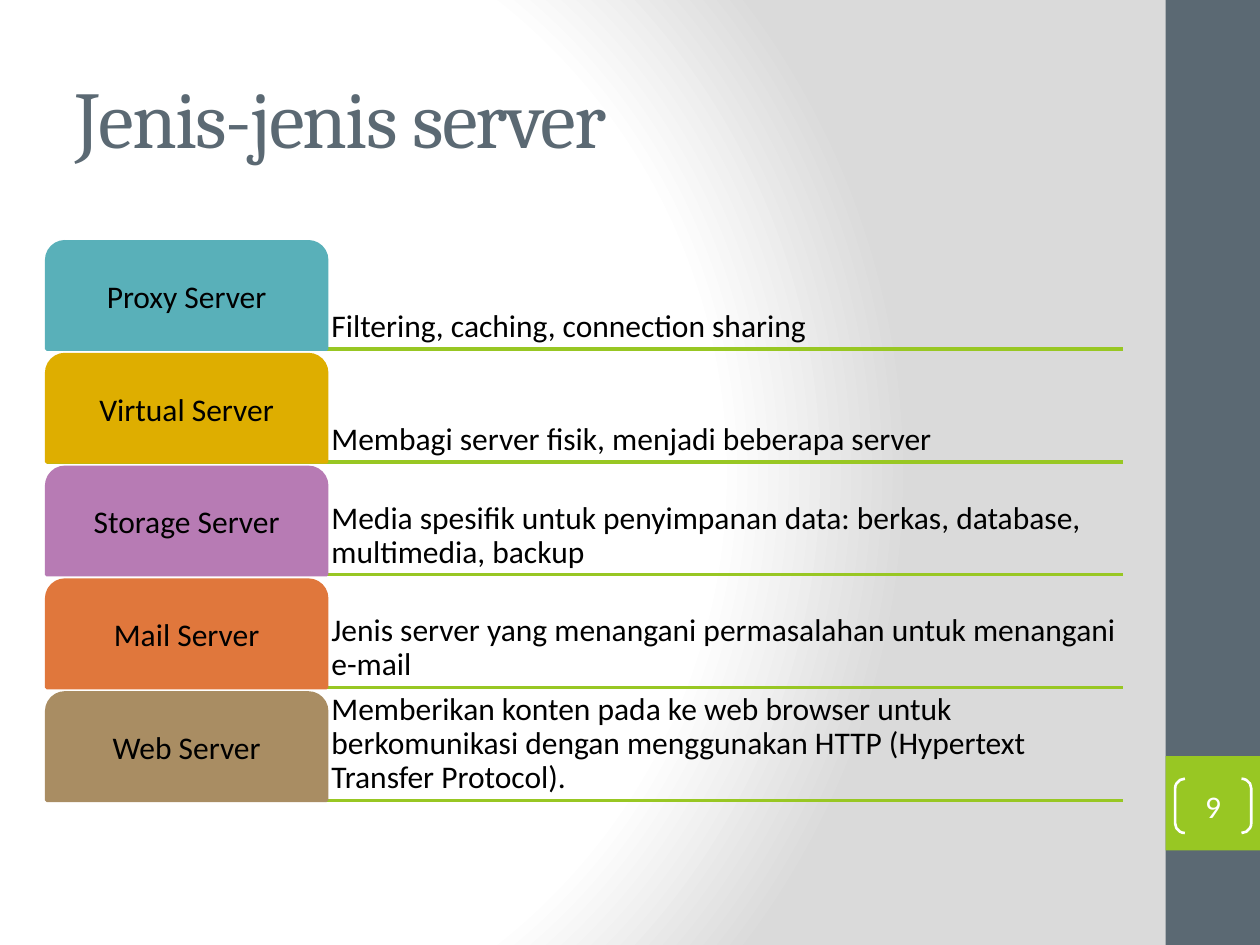
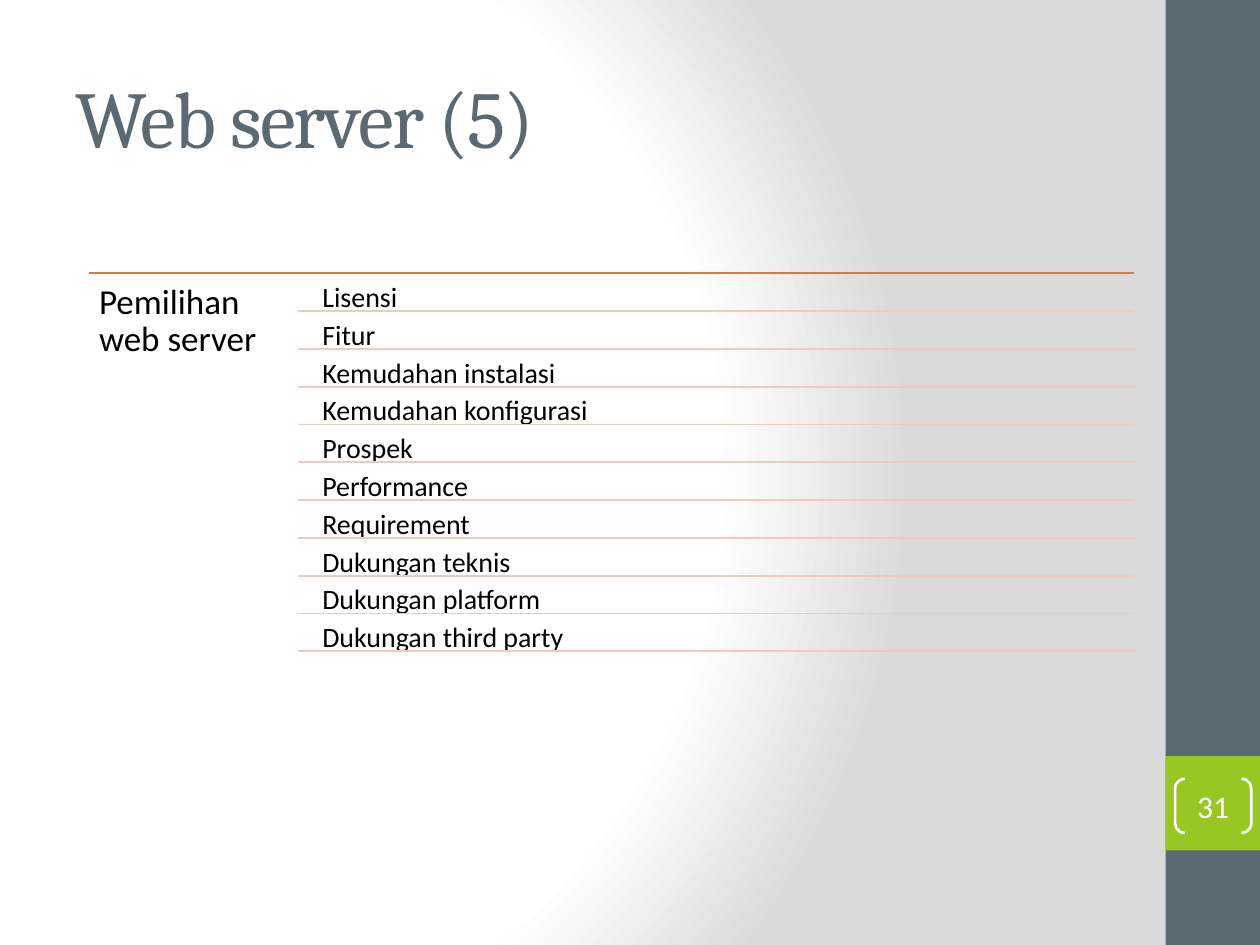
from pptx import Presentation
from pptx.dml.color import RGBColor
from pptx.enum.shapes import MSO_CONNECTOR, MSO_SHAPE
from pptx.enum.text import MSO_ANCHOR, PP_ALIGN
from pptx.oxml import parse_xml
from pptx.oxml.ns import nsdecls, qn
from pptx.util import Pt
from lxml.etree import SubElement

SLATE = RGBColor(0x5B, 0x69, 0x73)
GREEN = RGBColor(0x98, 0xC7, 0x23)
TEAL = RGBColor(0x59, 0xB0, 0xB9)
GOLD = RGBColor(0xDE, 0xAE, 0x00)
PURPLE = RGBColor(0xB7, 0x7B, 0xB4)
ORANGE = RGBColor(0xE0, 0x77, 0x3C)
TAN = RGBColor(0xA9, 0x8D, 0x63)
PINK = RGBColor(0xF0, 0xCA, 0xC0)
WHITE = RGBColor(0xFF, 0xFF, 0xFF)
GREY = RGBColor(0xDA, 0xDA, 0xDA)
BLACK = RGBColor(0x00, 0x00, 0x00)
HEADING_FONT, BODY_FONT = "Cambria", "Calibri"

SERVERS = [
    ("Proxy Server", "Filtering, caching, connection sharing", TEAL),
    ("Virtual Server", "Membagi server fisik, menjadi beberapa server", GOLD),
    ("Storage Server", "Media spesifik untuk penyimpanan data: berkas, database, "
     "multimedia, backup", PURPLE),
    ("Mail Server", "Jenis server yang menangani permasalahan untuk menangani e-mail",
     ORANGE),
    ("Web Server", "Memberikan konten pada ke web browser untuk berkomunikasi dengan "
     "menggunakan HTTP (Hypertext Transfer Protocol).", TAN),
]
CRITERIA_HEADING = "Pemilihan web server"
CRITERIA = [
    "Lisensi", "Fitur", "Kemudahan instalasi", "Kemudahan konfigurasi", "Prospek",
    "Performance", "Requirement", "Dukungan teknis", "Dukungan platform",
    "Dukungan third party",
]

SLIDE_WIDTH, SLIDE_HEIGHT = 720, 540
BAND_LEFT, BAND_WIDTH = 666, 54
NUMBER_TOP = 432

TAB_LEFT, TAB_WIDTH, TAB_HEIGHT = 26.7, 160, 61.35
TAB_TOP, TAB_PITCH = 138.2, 64.45
DESCRIPTION_WIDTH = 455

LIST_LEFT, LIST_TOP, LIST_RIGHT = 50.6, 156.2, 648
HEADING_WIDTH, CRITERION_INDENT = 119.5, 9.3
CRITERION_PITCH = 21.6


def set_background(master):
    """Radial gradient, white on the left and grey towards the right."""
    fill = master.background.fill
    fill.solid()
    stops = "".join(
        f'<a:gs pos="{position * 1000}"><a:srgbClr val="{color}"/></a:gs>'
        for position, color in [(0, WHITE), (75, WHITE), (100, GREY)])
    gradient = parse_xml(
        f'<a:gradFill {nsdecls("a")} rotWithShape="1"><a:gsLst>{stops}</a:gsLst>'
        '<a:path path="circle"><a:fillToRect l="20000" t="50000" r="100000" b="50000"/>'
        '</a:path></a:gradFill>')
    solid = next(master.element.cSld.iter(qn("a:solidFill")))
    solid.getparent().replace(solid, gradient)


def write(box, text, size, color=BLACK, inset=0.0, anchor=MSO_ANCHOR.TOP,
          align=PP_ALIGN.LEFT, font=BODY_FONT, line_spacing=0.9):
    frame = box.text_frame
    frame.text = text
    frame.word_wrap = True
    frame.vertical_anchor = anchor
    frame.margin_left = frame.margin_right = Pt(inset)
    frame.margin_top = frame.margin_bottom = Pt(inset)
    para = frame.paragraphs[0]
    para.alignment = align
    para.line_spacing = line_spacing
    span = para.runs[0]
    span.font.name = font
    span.font.size = Pt(size)
    span.font.color.rgb = color
    return span


def add_text(page, left, top, width, height, text, size, **style):
    box = page.shapes.add_textbox(Pt(left), Pt(top), Pt(width), Pt(height))
    write(box, text, size, **style)


def add_block(page, kind, left, top, width, height, fill=None, line=None, weight=2.0):
    block = page.shapes.add_shape(kind, Pt(left), Pt(top), Pt(width), Pt(height))
    block.shadow.inherit = False
    if fill is None:
        block.fill.background()
    else:
        block.fill.solid()
        block.fill.fore_color.rgb = fill
    if line is None:
        block.line.fill.background()
    else:
        block.line.color.rgb = line
        block.line.width = Pt(weight)
    return block


def add_rule(page, left, right, y, color, weight):
    rule = page.shapes.add_connector(
        MSO_CONNECTOR.STRAIGHT, Pt(left), Pt(y), Pt(right), Pt(y))
    rule.line.color.rgb = color
    rule.line.width = Pt(weight)
    SubElement(rule._element.spPr, qn("a:effectLst"))


def add_page(deck, title, number):
    """Slide with the side band, the numbered square and the title."""
    page = deck.slides.add_slide(deck.slide_layouts[5])
    heading = page.shapes.title
    heading.left, heading.top, heading.width, heading.height = (
        Pt(36), Pt(21.6), Pt(600), Pt(90))
    span = write(heading, title, 46, color=SLATE, inset=7.2, anchor=MSO_ANCHOR.MIDDLE,
                 font=HEADING_FONT, line_spacing=1.0)
    span.font._element.set("spc", "-100")

    add_block(page, MSO_SHAPE.RECTANGLE, BAND_LEFT, 0, BAND_WIDTH, SLIDE_HEIGHT, SLATE)
    add_block(page, MSO_SHAPE.RECTANGLE, BAND_LEFT, NUMBER_TOP, BAND_WIDTH, BAND_WIDTH,
              GREEN)
    bracket = add_block(page, MSO_SHAPE.DOUBLE_BRACKET, BAND_LEFT + 5.5,
                        NUMBER_TOP + 13, 43.5, 31, line=WHITE, weight=1.5)
    bracket.adjustments[0] = 0.18
    write(bracket, str(number), 18, color=WHITE, anchor=MSO_ANCHOR.MIDDLE,
          align=PP_ALIGN.CENTER, line_spacing=1.0)
    return page


def add_server_tabs(page):
    text_left = TAB_LEFT + TAB_WIDTH
    tops = [TAB_TOP + row * TAB_PITCH for row in range(len(SERVERS))]
    for top in tops:
        add_rule(page, TAB_LEFT, text_left + DESCRIPTION_WIDTH, top + TAB_HEIGHT, GREEN, 2)
    for top, (name, description, color) in zip(tops, SERVERS):
        add_text(page, text_left, top, DESCRIPTION_WIDTH, TAB_HEIGHT, description, 18,
                 inset=2.7, anchor=MSO_ANCHOR.BOTTOM)
        tab = add_block(page, MSO_SHAPE.ROUND_2_SAME_RECTANGLE, TAB_LEFT, top, TAB_WIDTH,
                        TAB_HEIGHT, color, color)
        tab.adjustments[0] = 0.17
        write(tab, name, 18, inset=2.7, anchor=MSO_ANCHOR.MIDDLE, align=PP_ALIGN.CENTER)


def add_criteria_list(page):
    rows_left = LIST_LEFT + HEADING_WIDTH
    text_left = rows_left + CRITERION_INDENT
    add_rule(page, LIST_LEFT, LIST_RIGHT, LIST_TOP, ORANGE, 1)
    add_text(page, LIST_LEFT, LIST_TOP, HEADING_WIDTH, CRITERION_PITCH * len(CRITERIA),
             CRITERIA_HEADING, 20, inset=6)
    for row, criterion in enumerate(CRITERIA):
        top = LIST_TOP + row * CRITERION_PITCH
        add_text(page, text_left, top + 0.9, LIST_RIGHT - text_left, CRITERION_PITCH - 0.9,
                 criterion, 16, inset=4.8)
        add_rule(page, rows_left, LIST_RIGHT, top + CRITERION_PITCH, PINK, 1)


def main():
    deck = Presentation()
    deck.slide_width, deck.slide_height = Pt(SLIDE_WIDTH), Pt(SLIDE_HEIGHT)
    set_background(deck.slide_master)
    add_server_tabs(add_page(deck, "Jenis-jenis server", 9))
    add_criteria_list(add_page(deck, "Web server (5)", 31))
    deck.save("out.pptx")


if __name__ == "__main__":
    main()
